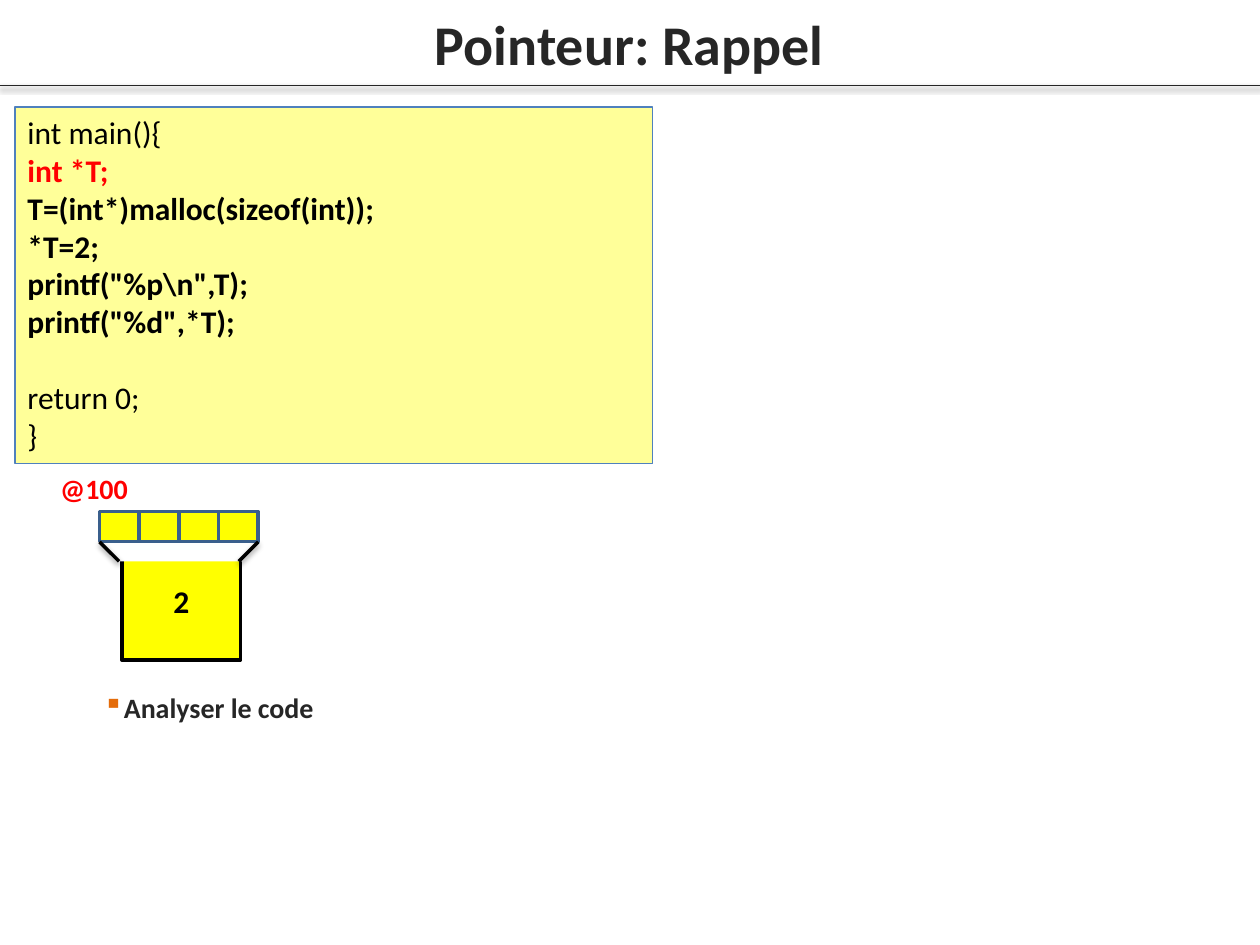
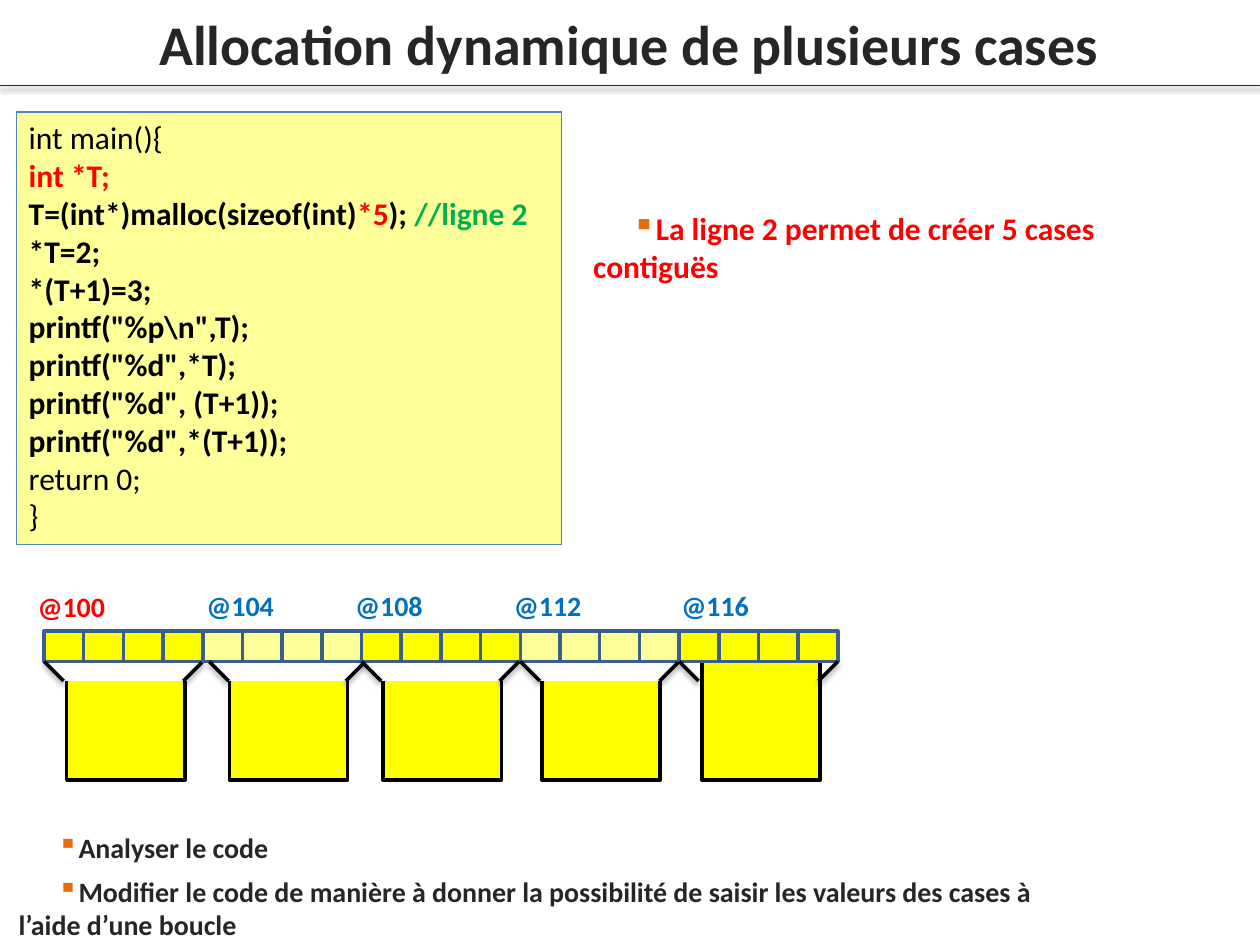
from pptx import Presentation
from pptx import util as u
from pptx.dml.color import RGBColor
from pptx.enum import shapes, text
from pptx.oxml import parse_xml
from pptx.oxml.ns import nsdecls

# Grid: 100 columns by 75 rows on a 10 x 7.5 inch slide
WIDE, HIGH = 100, 75
FONT = "Calibri"
INK, BLACK, WHITE, RED = "262626", "000000", "FFFFFF", "FF0000"
BLUE, GREEN, ORANGE = "0070C0", "00B050", "E46C0A"
YELLOW, PALE, EDGE, FRAME = "FFFF00", "FFFF99", "3A5F8C", "4F81BD"

# Memory cell: four bytes over a box
BYTE, BYTE_H, BOX, NECK = 3.15, 2.4, 9.4, 1.55
CASE = 4 * BYTE


def g(n):
    return u.Inches(n * 10 / WIDE)


def hue(code):
    return RGBColor.from_string(code)


def style(run, size, color, bold=True):
    font = run.font
    font.name, font.size, font.bold = FONT, u.Pt(size), bold
    font.color.rgb = hue(color)


def rect(slide, x, y, w, h, fill, line=None, width=2):
    part = slide.shapes.add_shape(shapes.MSO_SHAPE.RECTANGLE, g(x), g(y), g(w), g(h))
    part.shadow.inherit = False
    part.fill.solid()
    part.fill.fore_color.rgb = hue(fill)
    if line:
        part.line.color.rgb = hue(line)
        part.line.width = u.Pt(width)
    else:
        part.line.fill.background()
    return part


def rule(slide, x1, y1, x2, y2, color=BLACK, width=2):
    line = slide.shapes.add_connector(
        shapes.MSO_CONNECTOR.STRAIGHT, g(x1), g(y1), g(x2), g(y2))
    line.line.color.rgb = hue(color)
    line.line.width = u.Pt(width)
    line._element.spPr.append(parse_xml(
        f'<a:effectLst {nsdecls("a")}><a:outerShdw blurRad="40000" dist="20000" '
        f'dir="5400000" rotWithShape="0"><a:srgbClr val="{BLACK}">'
        '<a:alpha val="38000"/></a:srgbClr></a:outerShdw></a:effectLst>'))


def area(slide, x, y, w, h):
    frame = slide.shapes.add_textbox(g(x), g(y), g(w), g(h)).text_frame
    frame.word_wrap = True
    return frame


def lines(frame, items):
    """Yield one paragraph for each item."""
    for i, item in enumerate(items):
        yield (frame.add_paragraph() if i else frame.paragraphs[0]), item


def head(slide, title):
    # Title and the rule below it
    part = slide.shapes.title
    part.left, part.top, part.width, part.height = g(-0.1), g(0.2), g(100.1), g(6.4)
    frame = part.text_frame
    frame.text = title
    frame.auto_size = text.MSO_AUTO_SIZE.NONE
    frame.vertical_anchor = text.MSO_ANCHOR.MIDDLE
    para = frame.paragraphs[0]
    para.alignment = text.PP_ALIGN.CENTER
    style(para.runs[0], 32, INK)
    rule(slide, 0, 6.8, WIDE, 6.8, INK, 0.5)


def code(slide, box, rows, gap=None):
    # Listing: each row is a list of (words, colour, bold)
    frame = rect(slide, *box, PALE, FRAME, 0.75).text_frame
    frame.word_wrap = True
    frame.vertical_anchor = text.MSO_ANCHOR.TOP
    for para, row in lines(frame, rows):
        para.alignment = text.PP_ALIGN.LEFT
        for words, color, bold in row:
            run = para.add_run()
            run.text = words
            style(run, 18, color, bold)
    if gap is not None:
        frame.paragraphs[gap].space_before = u.Pt(21.6)


def points(slide, box, items, size=16, color=INK, left=0):
    # Bulleted remarks with an indented first line
    for para, item in lines(area(slide, *box), items):
        para.text = item
        para.level = 1
        para.space_after = u.Pt(6)
        style(para.runs[0], size, color)
        props = para._p.get_or_add_pPr()
        props.set("marL", str(g(left)))
        props.set("indent", str(g(3.1)))
        props.append(parse_xml(
            f'<a:buClr {nsdecls("a")}><a:srgbClr val="{ORANGE}"/></a:buClr>'))
        props.append(parse_xml(f'<a:buChar {nsdecls("a")} char="▪"/>'))


def case(slide, x, y, name, tag, color=RED, fill=YELLOW, inset=1.8,
         legs=(0, CASE), value="", neck=True):
    """Memory cell whose bytes start at x, y; tag is the offset of its address."""
    low = y + BYTE_H
    # Box, with its top hidden to form the neck
    body = rect(slide, x + inset, low, BOX, BOX, YELLOW, BLACK)
    if value:
        body.text_frame.text = value
        body.text_frame.vertical_anchor = text.MSO_ANCHOR.MIDDLE
        para = body.text_frame.paragraphs[0]
        para.alignment = text.PP_ALIGN.CENTER
        style(para.runs[0], 18, BLACK)
    if neck:
        rect(slide, x + inset - 0.5, low - 0.5, BOX + 1, NECK + 0.5, WHITE)
    # Bytes
    for i in range(4):
        rect(slide, x + i * BYTE, y, BYTE, BYTE_H, fill, EDGE)
    # Slanted legs
    for start, lean in zip(legs, (NECK, -NECK)):
        rule(slide, x + start, low, x + start + lean, low + NECK)
    # Address
    para = area(slide, x + tag[0], y + tag[1], 8.7, 3.7).paragraphs[0]
    para.text = name
    style(para.runs[0], 16, color)


def plain(words):
    return [(words, BLACK, False)]


def strong(words, color=BLACK):
    return [(words, color, True)]


def recall(slide):
    head(slide, "Pointeur: Rappel")
    points(slide, (1.3, 54.3, 100, 3.7), ["Analyser le code"], left=2.8)
    case(slide, 7.9, 40.6, "@100", (-4.1, -3.7), value="2")
    code(slide, (1.2, 8.5, 50.6, 28.3), [
        plain("int main(){"),
        strong("int *T;", RED),
        strong("T=(int*)malloc(sizeof(int));"),
        strong("*T=2;"),
        strong('printf("%p\\n",T);'),
        strong('printf("%d",*T);'),
        plain("return 0;"),
        plain("}"),
    ], gap=6)


def several(slide):
    head(slide, "Allocation dynamique de plusieurs cases")
    points(slide, (0.5, 65.4, 87.3, 9.9), [
        "Analyser le code",
        "Modifier le code de manière à donner la possibilité de saisir "
        "les valeurs des cases à l’aide d’une boucle",
    ])
    code(slide, (1.3, 8.9, 43.3, 34.3), [
        plain("int main(){"),
        strong("int *T;", RED),
        strong("T=(int*)malloc(sizeof(int)") + strong("*5", RED)
        + strong("); ") + strong("//ligne 2", GREEN),
        strong("*T=2;"),
        strong("*(T+1)=3;"),
        strong('printf("%p\\n",T);'),
        strong('printf("%d",*T);'),
        strong('printf("%d", (T+1));'),
        strong('printf("%d",*(T+1));'),
        plain("return 0;"),
        plain("}"),
    ])
    # Five adjoining cells: address offset, box inset, leg offsets
    row = [
        ((-1.5, -3.8), 1.8, (0, CASE)),
        ((-0.7, -3.9), 2.1, (0.5, 12.9)),
        ((-1.5, -3.9), 1.7, (0, 12.5)),
        ((-1.5, -3.9), 1.7, (0, CASE)),
        ((-0.8, -3.9), 1.8, (0, CASE)),
    ]
    for i, (tag, inset, legs) in enumerate(row):
        case(slide, 3.5 + i * CASE, 50.1, f"@{100 + 4 * i}", tag,
             BLUE if i else RED, PALE if i % 2 else YELLOW,
             inset, legs, neck=i < 4)
    points(slide, (46.1, 16.1, 50.9, 4),
           ["La ligne 2 permet de créer 5 cases contiguës"], 18, RED)


def main():
    deck = Presentation()
    deck.slide_width, deck.slide_height = g(WIDE), g(HIGH)
    for build in (recall, several):
        build(deck.slides.add_slide(deck.slide_layouts[5]))
    deck.save("out.pptx")


if __name__ == "__main__":
    main()
